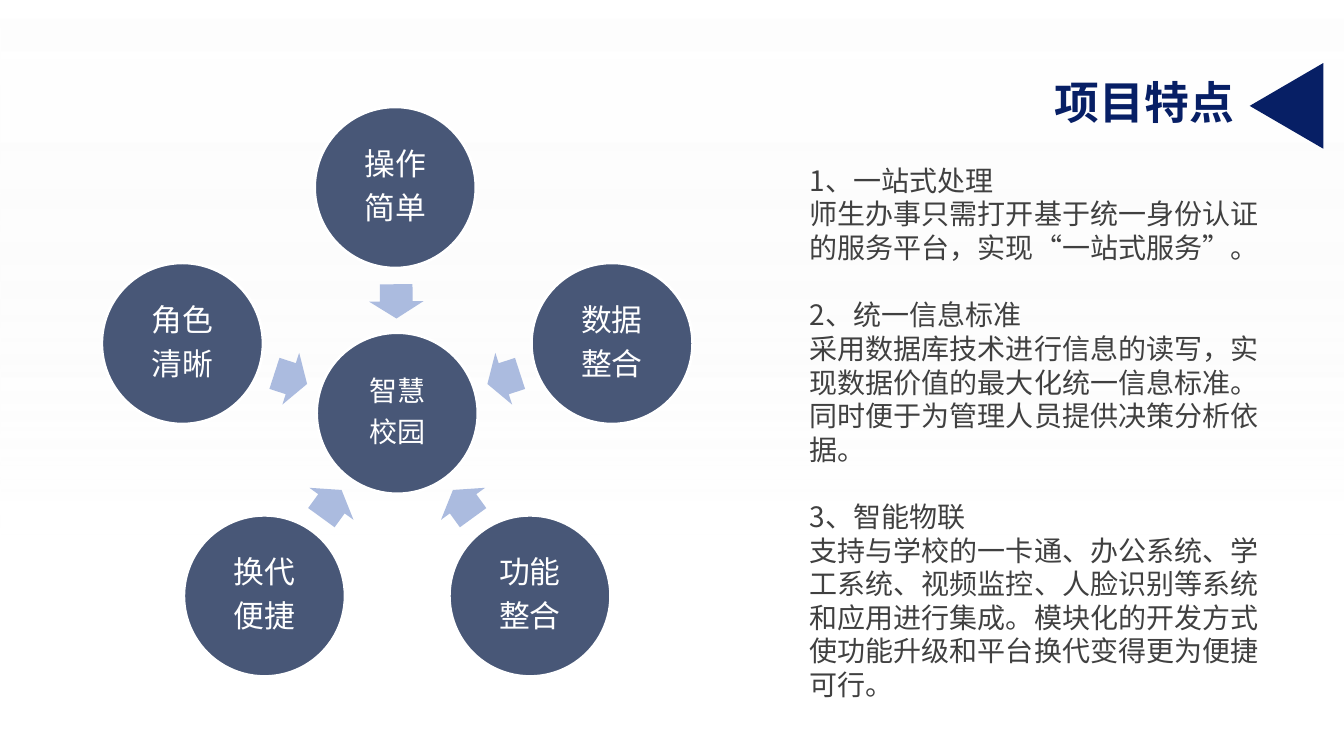
from dataclasses import dataclass
from math import cos, radians, sin

from lxml.etree import SubElement
from pptx import Presentation
from pptx.dml.color import RGBColor
from pptx.enum.shapes import MSO_SHAPE
from pptx.enum.text import MSO_ANCHOR, MSO_AUTO_SIZE, PP_ALIGN
from pptx.oxml.ns import qn
from pptx.util import Inches, Pt

CJK_FONT = "Noto Sans CJK SC"
NAVY = "071F65"
CENTER_X, CENTER_Y = 3.94, 4.1
CIRCLE_SIZE = 1.6
CIRCLE_ORBIT, ARROW_ORBIT = 2.24, 1.11


@dataclass
class Feature:
    """A circle on the ring, at an angle in degrees clockwise from the right."""
    label: str
    angle: float


@dataclass
class Section:
    """A numbered heading with its explanation."""
    heading: str
    detail: str


FEATURES = [
    Feature("操作\n简单", -90.5),
    Feature("数据\n整合", -18),
    Feature("功能\n整合", 54),
    Feature("换代\n便捷", 126),
    Feature("角色\n清晰", 198),
]
SECTIONS = [
    Section("1、一站式处理",
            "师生办事只需打开基于统一身份认证的服务平台，实现“一站式服务”。"),
    Section("2、统一信息标准",
            "采用数据库技术进行信息的读写，实现数据价值的最大化统一信息标准。"
            "同时便于为管理人员提供决策分析依据。"),
    Section("3、智能物联",
            "支持与学校的一卡通、办公系统、学工系统、视频监控、人脸识别等系统"
            "和应用进行集成。模块化的开发方式使功能升级和平台换代变得更为便捷可行。"),
]


def color(value: str) -> RGBColor:
    """Turn a hex string into a colour."""
    return RGBColor.from_string(value)


def place(box, left: float, top: float, width: float, height: float) -> None:
    """Move and size a box in inches."""
    box.left, box.top = Inches(left), Inches(top)
    box.width, box.height = Inches(width), Inches(height)


def set_insets(frame, side: float, edge: float) -> None:
    """Set the horizontal and vertical text margins in inches."""
    frame.margin_left = frame.margin_right = Inches(side)
    frame.margin_top = frame.margin_bottom = Inches(edge)


def format_para(para, size: float, fill: str, font: str = CJK_FONT,
                bold: bool = False) -> None:
    """Format every run of a paragraph, for Latin and East Asian text."""
    for span in para.runs:
        span.font.size = Pt(size)
        span.font.bold = bold
        span.font.color.rgb = color(fill)
        span.font.name = font
        SubElement(span.font._element, qn("a:ea"), typeface=CJK_FONT)


def add_figure(page, kind, middle_x: float, middle_y: float, width: float,
               height: float, fill: str, rotation: float = 0):
    """Add a flat preset shape around its middle point."""
    figure = page.shapes.add_shape(
        kind, Inches(middle_x - width / 2), Inches(middle_y - height / 2),
        Inches(width), Inches(height))
    figure.shadow.inherit = False
    figure.fill.solid()
    figure.fill.fore_color.rgb = color(fill)
    figure.line.fill.background()
    figure.rotation = rotation
    return figure


def add_circle(page, label: str, middle_x: float, middle_y: float,
               size: float) -> None:
    """Add a labelled circle with a white outline."""
    circle = add_figure(page, MSO_SHAPE.OVAL, middle_x, middle_y,
                        CIRCLE_SIZE, CIRCLE_SIZE, "485777")
    circle.line.color.rgb = color("FFFFFF")
    circle.line.width = Pt(2)
    frame = circle.text_frame
    frame.text = label
    frame.vertical_anchor = MSO_ANCHOR.MIDDLE
    set_insets(frame, 0.03, 0.03)
    for para in frame.paragraphs:
        para.alignment = PP_ALIGN.CENTER
        para.line_spacing = 0.9
        para.space_after = Pt(7.7)
        format_para(para, size, "FFFFFF")


def add_backdrop(page) -> None:
    """Put a faint vertical gradient behind everything."""
    backdrop = add_figure(page, MSO_SHAPE.RECTANGLE, 6.67, 3.75, 13.34, 7.5, "FFFFFF")
    backdrop.fill.gradient()
    backdrop.fill.gradient_angle = 270
    stops = [("FFFFFF", 0, 55), ("F2F2F2", 0.71, 0)]
    for stop, (shade, position, opacity) in zip(backdrop.fill.gradient_stops, stops):
        stop.color.rgb = color(shade)
        stop.position = position
        tint = stop._gs.find(qn("a:srgbClr"))
        SubElement(tint, qn("a:alpha"), val=str(opacity * 1000))
    page.shapes._spTree.insert(2, backdrop._element)


def add_wheel(page) -> None:
    """Draw the central circle and the features pointing at it."""
    add_circle(page, "智慧\n校园", CENTER_X, CENTER_Y, 20)
    for feature in FEATURES:
        across, down = cos(radians(feature.angle)), sin(radians(feature.angle))
        arrow = add_figure(page, MSO_SHAPE.RIGHT_ARROW,
                           CENTER_X + ARROW_ORBIT * across,
                           CENTER_Y + ARROW_ORBIT * down,
                           0.34, 0.54, "ABBBDF", feature.angle + 180)
        arrow.adjustments[0] = 0.6
        arrow.adjustments[1] = 0.5
        add_circle(page, feature.label, CENTER_X + CIRCLE_ORBIT * across,
                   CENTER_Y + CIRCLE_ORBIT * down, 22)


def fill_title(box) -> None:
    """Write the slide title."""
    place(box, 10.33, 0.67, 2.06, 0.67)
    frame = box.text_frame
    frame.text = "项目特点"
    frame.word_wrap = False
    frame.auto_size = MSO_AUTO_SIZE.NONE
    frame.vertical_anchor = MSO_ANCHOR.MIDDLE
    set_insets(frame, 0.13, 0.07)
    para = frame.paragraphs[0]
    para.alignment = PP_ALIGN.LEFT
    format_para(para, 32, NAVY, "Arial", True)


def fill_body(box) -> None:
    """Write the numbered sections."""
    place(box, 7.93, 1.57, 4.79, 5.49)
    frame = box.text_frame
    frame.text = "\n".join(f"{part.heading}\n{part.detail}" for part in SECTIONS)
    frame.word_wrap = True
    frame.auto_size = MSO_AUTO_SIZE.NONE
    set_insets(frame, 0.1, 0.05)
    for index, para in enumerate(frame.paragraphs):
        para.line_spacing = 1.0
        para.space_before = Pt(24 if index and index % 2 == 0 else 0)
        settings = para._p.get_or_add_pPr()
        settings.set("marL", "0")
        settings.set("indent", "0")
        SubElement(settings, qn("a:buNone"))
        format_para(para, 20, "404040")


def main() -> None:
    """Build and save the deck."""
    deck = Presentation()
    deck.slide_width, deck.slide_height = Inches(13.33), Inches(7.5)
    page = deck.slides.add_slide(deck.slide_layouts[1])
    add_backdrop(page)
    add_wheel(page)
    fill_title(page.shapes.title)
    add_figure(page, MSO_SHAPE.ISOSCELES_TRIANGLE, 12.76, 1.05, 0.85, 0.73, NAVY, 270)
    fill_body(page.placeholders[1])
    deck.save("out.pptx")


if __name__ == "__main__":
    main()
